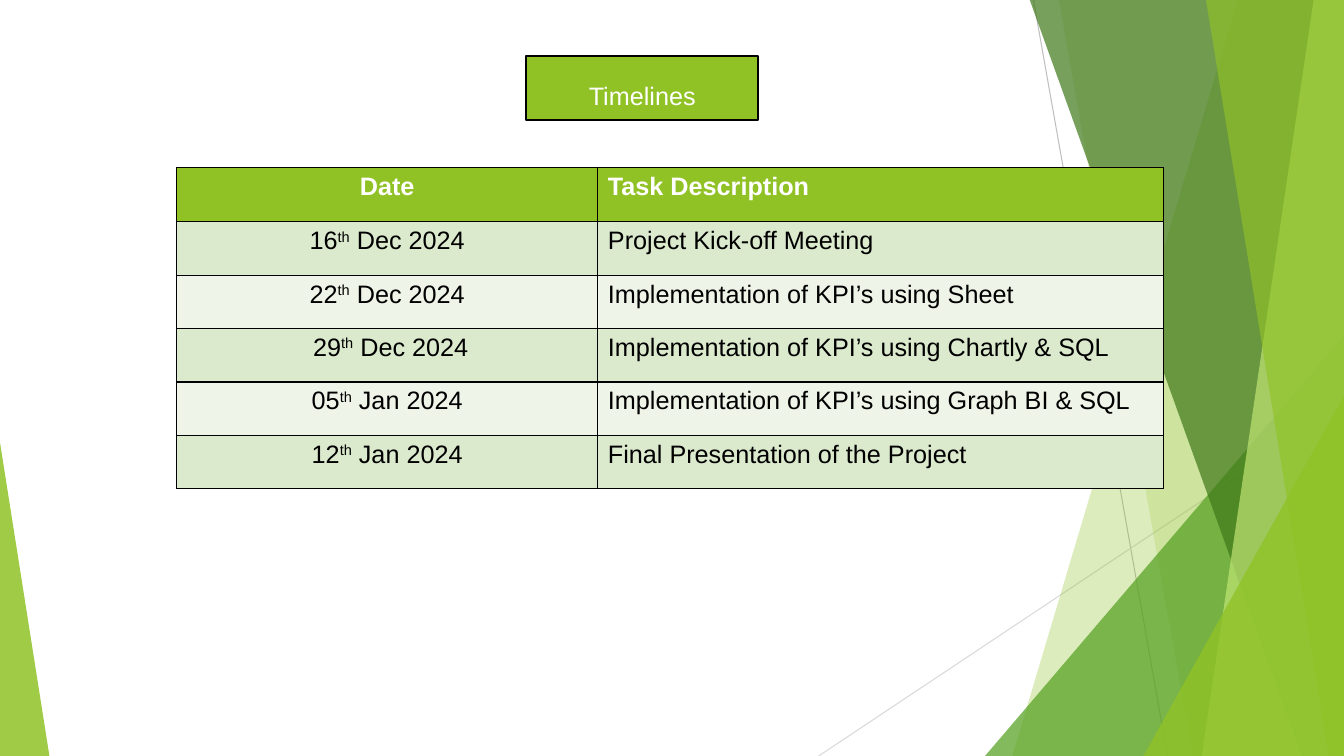
from lxml.etree import SubElement
from pptx import Presentation
from pptx.dml.color import RGBColor
from pptx.enum.shapes import MSO_CONNECTOR, MSO_SHAPE
from pptx.enum.text import MSO_ANCHOR, PP_ALIGN
from pptx.oxml.ns import qn
from pptx.util import Inches, Pt

WIDTH, HEIGHT, TOP = 13.33, 7.5, -0.01
COLORS = {
    "lime": "90C226", "pale_lime": "C0E474", "green": "54A021", "forest": "3F7819",
    "band_dark": "DBE9CD", "band_light": "EEF4E8", "black": "000000", "white": "FFFFFF",
    "gray": "BFBFBF", "light_gray": "D9D9D9",
}
TEXT = {"name": "Arial", "size": Pt(18), "bold": False}
HEADING = {**TEXT, "bold": True}
HEADERS = ("Date", "Task Description")
TASKS = [
    ("16", "Dec 2024", "Project Kick-off Meeting"),
    ("22", "Dec 2024", "Implementation of KPI’s using Sheet"),
    (" 29", "Dec 2024", "Implementation of KPI’s using Chartly & SQL"),
    ("05", "Jan 2024", "Implementation of KPI’s using Graph BI & SQL"),
    ("12", "Jan 2024", "Final Presentation of the Project"),
]
LINES = [
    ((10.25, 0), (11.58, HEIGHT), "gray"),
    ((WIDTH, 4.03), (8.12, HEIGHT), "light_gray"),
]
BACK_PANELS = [(12.28, 10.04, "lime", 30), (10.5, 11.83, "lime", 20)]
FRONT_PANELS = [
    (10.21, 12.91, "forest", 70),
    (13.03, 11.92, "pale_lime", 70),
    (11.96, 13.18, "lime", 65),
]


def color(name):
    return RGBColor.from_string(COLORS[name])


def paint(item, name):
    item.fill.solid()
    item.fill.fore_color.rgb = color(name)


def paint_facet(shape, name, opacity):
    shape.shadow.inherit = False
    paint(shape, name)
    shape.line.fill.background()
    tint = shape.element.spPr.find(qn("a:solidFill")).find(qn("a:srgbClr"))
    SubElement(tint, qn("a:alpha"), val=str(opacity * 1000))


def add_line(page, start, end, name):
    points = [Inches(value) for value in (*start, *end)]
    line = page.shapes.add_connector(MSO_CONNECTOR.STRAIGHT, *points)
    line.line.color.rgb = color(name)
    line.line.width = Pt(0.75)
    SubElement(line.element.spPr, qn("a:effectLst"))


def add_panel(page, top_x, bottom_x, name, opacity):
    corners = [(top_x, TOP), (WIDTH, TOP), (WIDTH, HEIGHT), (bottom_x, HEIGHT)]
    points = [(Inches(x), Inches(y)) for x, y in corners]
    builder = page.shapes.build_freeform(*points[0], scale=1.0)
    builder.add_line_segments(points[1:], close=True)
    paint_facet(builder.convert_to_shape(), name, opacity)


def add_triangle(page, left, top, width, apex, name, opacity):
    frame = [Inches(value) for value in (left, top, width, HEIGHT - top)]
    triangle = page.shapes.add_shape(MSO_SHAPE.ISOSCELES_TRIANGLE, *frame)
    triangle.adjustments[0] = apex
    paint_facet(triangle, name, opacity)


def add_span(para, text, formats, name, raised=False):
    span = para.add_run()
    span.text = text
    for key, value in formats.items():
        setattr(span.font, key, value)
    span.font.color.rgb = color(name)
    if raised:
        span._r.get_or_add_rPr().set("baseline", "30000")


def add_title(page, text):
    frame = [Inches(value) for value in (5.22, 0.56, 2.3, 0.63)]
    box = page.shapes.add_shape(MSO_SHAPE.RECTANGLE, *frame)
    box.shadow.inherit = False
    paint(box, "lime")
    box.line.color.rgb = color("black")
    box.line.width = Pt(1.5)
    box.text_frame.word_wrap = True
    box.text_frame.vertical_anchor = MSO_ANCHOR.MIDDLE
    para = box.text_frame.paragraphs[0]
    para.alignment = PP_ALIGN.CENTER
    para.line_spacing = 1.5
    add_span(para, text, TEXT, "white")


def style_cell(cell, name):
    properties = cell._tc.get_or_add_tcPr()
    for side in ("lnL", "lnR", "lnT", "lnB"):
        border = SubElement(properties, qn(f"a:{side}"), w=str(int(Pt(1))))
        fill = SubElement(border, qn("a:solidFill"))
        SubElement(fill, qn("a:srgbClr"), val=COLORS["black"])
    paint(cell, name)


def add_timeline(page):
    widths = (4.18, 5.61)
    heights = [0.54] + [0.53] * len(TASKS)
    frame = [Inches(value) for value in (1.75, 1.66, sum(widths), sum(heights))]
    table = page.shapes.add_table(len(heights), len(widths), *frame).table
    table.first_row = table.horz_banding = False
    for column, width in zip(table.columns, widths):
        column.width = Inches(width)
    for index, (row, height) in enumerate(zip(table.rows, heights)):
        row.height = Inches(height)
        band = "band_dark" if index % 2 else "band_light"
        for cell in row.cells:
            style_cell(cell, band if index else "lime")
        date, task = (cell.text_frame.paragraphs[0] for cell in row.cells)
        date.alignment = PP_ALIGN.CENTER
        task.alignment = PP_ALIGN.LEFT
        if index == 0:
            for para, text in zip((date, task), HEADERS):
                add_span(para, text, HEADING, "white")
        else:
            day, month, description = TASKS[index - 1]
            add_span(date, day, TEXT, "black")
            add_span(date, "th", TEXT, "black", raised=True)
            add_span(date, f" {month}", TEXT, "black")
            add_span(task, description, TEXT, "black")


def main():
    deck = Presentation()
    deck.slide_width = Inches(WIDTH)
    deck.slide_height = Inches(HEIGHT)
    page = deck.slides.add_slide(deck.slide_layouts[6])
    for line in LINES:
        add_line(page, *line)
    for panel in BACK_PANELS:
        add_panel(page, *panel)
    add_triangle(page, 9.77, 3.33, 3.56, 1, "green", 72)
    for panel in FRONT_PANELS:
        add_panel(page, *panel)
    add_triangle(page, 11.34, 3.93, 1.99, 1, "lime", 80)
    add_triangle(page, 0, 4.39, 0.49, 0, "lime", 85)
    add_timeline(page)
    add_title(page, "Timelines")
    deck.save("out.pptx")


if __name__ == "__main__":
    main()
